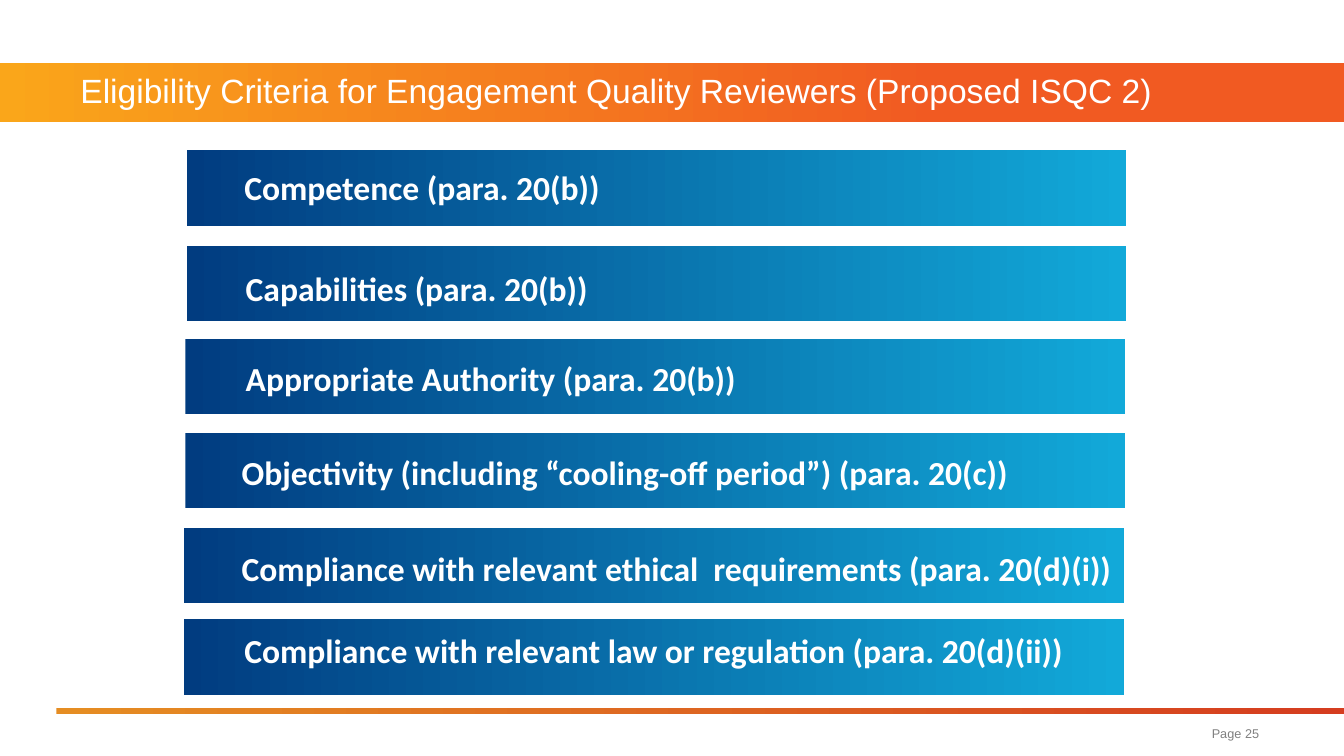
from dataclasses import dataclass

from pptx import Presentation
from pptx.dml.color import RGBColor
from pptx.enum.shapes import MSO_SHAPE
from pptx.enum.text import MSO_ANCHOR, PP_ALIGN
from pptx.util import Inches, Pt

RECTANGLE = MSO_SHAPE.RECTANGLE
MIDDLE = MSO_ANCHOR.MIDDLE
LEFT, RIGHT = PP_ALIGN.LEFT, PP_ALIGN.RIGHT

WHITE, GREY = "FFFFFF", "808080"
TITLE_STOPS = ((0, "FAA61A"), (0.7, "F15A22"))
FOOTER_STOPS = ((0, "E58D23"), (1, "D53D20"))
BAR_STOPS = ((0, "013C80"), (1, "12A9D9"))

BAR_WIDTH, BAR_HEIGHT = 6.99, 0.56
LABEL_WIDTH, LABEL_HEIGHT = 6.8, 0.4


@dataclass
class Criterion:
    text: str
    bar_left: float
    bar_top: float
    label_left: float
    label_top: float


CRITERIA = [
    Criterion("Competence (para. 20(b))", 1.39, 1.12, 1.72, 1.19),
    Criterion("Capabilities (para. 20(b))", 1.39, 1.83, 1.73, 1.94),
    Criterion("Appropriate Authority (para. 20(b))", 1.38, 2.52, 1.73, 2.61),
    Criterion("Objectivity (including “cooling-off period”) (para. 20(c))",
              1.38, 3.22, 1.7, 3.31),
    Criterion("Compliance with relevant ethical  requirements (para. 20(d)(i))",
              1.37, 3.93, 1.7, 4.03),
    Criterion("Compliance with relevant law or regulation (para. 20(d)(ii))",
              1.37, 4.61, 1.72, 4.64),
]


def color(value: str) -> RGBColor:
    return RGBColor.from_string(value)


def add_band(page, left: float, top: float, width: float, height: float,
             stops: tuple) -> None:
    """Draw a rectangle with a left-to-right gradient."""
    band = page.shapes.add_shape(RECTANGLE, Inches(left), Inches(top),
                                 Inches(width), Inches(height))
    band.shadow.inherit = False
    band.line.fill.background()
    band.fill.gradient()
    band.fill.gradient_angle = 0
    for stop, (position, value) in zip(band.fill.gradient_stops, stops):
        stop.position = position
        stop.color.rgb = color(value)


def add_text(page, text: str, left: float, top: float, width: float,
             height: float, *, size: float, font: str = "Arial",
             fill: str = WHITE, bold: bool = False, align=LEFT,
             side_inset: float = 0.1) -> None:
    box = page.shapes.add_textbox(Inches(left), Inches(top),
                                  Inches(width), Inches(height))
    frame = box.text_frame
    frame.word_wrap = True
    frame.vertical_anchor = MIDDLE
    frame.margin_left = frame.margin_right = Inches(side_inset)
    para = frame.paragraphs[0]
    para.alignment = align
    span = para.add_run()
    span.text = text
    span.font.name = font
    span.font.size = Pt(size)
    span.font.bold = bold
    span.font.color.rgb = color(fill)


def main() -> None:
    deck = Presentation()
    deck.slide_width = Inches(10)
    deck.slide_height = Inches(10 * 9 / 16)
    page = deck.slides.add_slide(deck.slide_layouts[6])

    # Title band and footer rule
    add_band(page, 0, 0.47, 10, 0.44, TITLE_STOPS)
    add_band(page, 0.42, 5.27, 9.58, 0.04, FOOTER_STOPS)
    add_text(page,
             "Eligibility Criteria for Engagement Quality Reviewers (Proposed ISQC 2)",
             0.5, 0.45, 9, 0.44, size=18)
    add_text(page, "Page 25", 7.66, 5.33, 1.71, 0.25, size=6.8, fill=GREY,
             align=RIGHT, side_inset=0)

    # Criteria bars with their labels
    for item in CRITERIA:
        add_band(page, item.bar_left, item.bar_top, BAR_WIDTH, BAR_HEIGHT, BAR_STOPS)
        add_text(page, item.text, item.label_left, item.label_top, LABEL_WIDTH,
                 LABEL_HEIGHT, size=18, font="Calibri", bold=True)

    deck.save("out.pptx")


if __name__ == "__main__":
    main()
